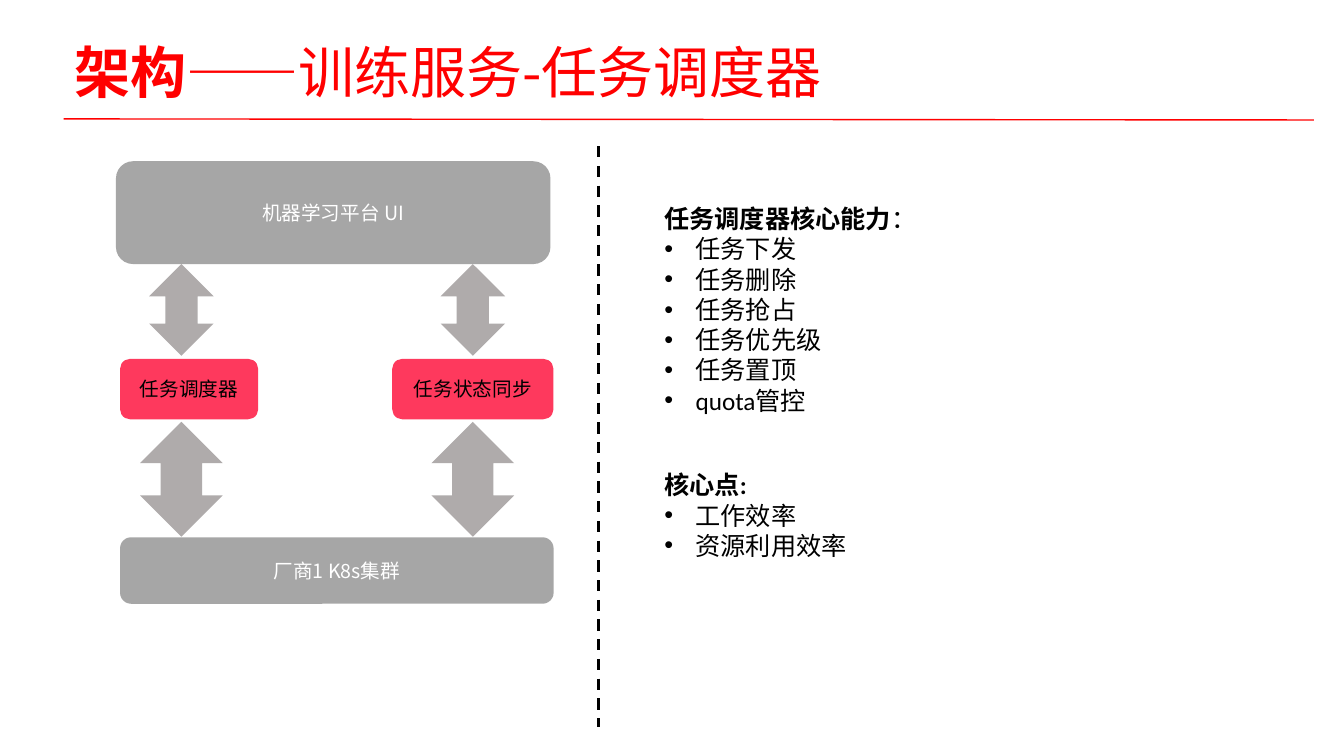
from dataclasses import dataclass

from lxml import etree
from pptx import Presentation
from pptx.dml.color import RGBColor
from pptx.enum.dml import MSO_LINE
from pptx.enum.shapes import MSO_CONNECTOR, MSO_SHAPE
from pptx.enum.text import MSO_ANCHOR, MSO_AUTO_SIZE, PP_ALIGN
from pptx.oxml.ns import qn
from pptx.util import Inches, Pt

ROUNDED = MSO_SHAPE.ROUNDED_RECTANGLE
UP_DOWN = MSO_SHAPE.UP_DOWN_ARROW
STRAIGHT = MSO_CONNECTOR.STRAIGHT
DASH = MSO_LINE.DASH
MIDDLE = MSO_ANCHOR.MIDDLE
CENTER = PP_ALIGN.CENTER
FIT_SHAPE = MSO_AUTO_SIZE.SHAPE_TO_FIT_TEXT

WIDTH, HEIGHT = Inches(13.33), Inches(7.5)
INDENT = Inches(0.31)


@dataclass(frozen=True)
class Theme:
    cjk: str = "Noto Sans CJK SC"
    latin: str = "Calibri"
    red: str = "FF0000"
    pink: str = "FE395D"
    gray: str = "A6A6A6"
    arrow: str = "AFABAB"
    black: str = "000000"
    white: str = "FFFFFF"
    title: int = 40
    body: int = 18
    label: int = 14


T = Theme()


def area(x, y, w, h):
    """Turn percentages of the slide into lengths."""
    return [int(v * side / 100) for v, side in zip((x, y, w, h), (WIDTH, HEIGHT) * 2)]


def add_run(p, text, size, color, font, bold=False):
    r = p.add_run()
    r.text = text
    r.font.size = Pt(size)
    r.font.bold = bold
    r.font.name = font
    r.font.color.rgb = RGBColor.from_string(color)
    ea = etree.SubElement(r.font._element, qn("a:ea"))
    ea.set("typeface", T.cjk)


def add_bullet(p):
    pPr = p._p.get_or_add_pPr()
    pPr.set("marL", str(INDENT))
    pPr.set("indent", str(-INDENT))
    etree.SubElement(pPr, qn("a:buFont")).set("typeface", "Arial")
    etree.SubElement(pPr, qn("a:buChar")).set("char", "•")


def add_solid(s, kind, box, fill):
    sp = s.shapes.add_shape(kind, *area(*box))
    sp.shadow.inherit = False
    sp.fill.solid()
    sp.fill.fore_color.rgb = RGBColor.from_string(fill)
    sp.line.fill.background()
    return sp


def add_block(s, text, box, fill, color):
    tf = add_solid(s, ROUNDED, box, fill).text_frame
    tf.word_wrap = True
    tf.vertical_anchor = MIDDLE
    p = tf.paragraphs[0]
    p.alignment = CENTER
    add_run(p, text, T.label, color, T.cjk)


def add_arrow(s, center, y, w, h):
    add_solid(s, UP_DOWN, (center - w / 2, y, w, h), T.arrow)


def add_line(s, ends, color, width, dash=None):
    line = s.shapes.add_connector(STRAIGHT, *area(*ends))
    line.line.color.rgb = RGBColor.from_string(color)
    line.line.width = Pt(width)
    if dash:
        line.line.dash_style = dash
    etree.SubElement(line._element.spPr, qn("a:effectLst"))


def add_title(s, strong, rest, box):
    tf = s.shapes.add_textbox(*area(*box)).text_frame
    tf.word_wrap = True
    tf.vertical_anchor = MIDDLE
    p = tf.paragraphs[0]
    p.line_spacing = 0.9
    add_run(p, strong, T.title, T.red, T.cjk, True)
    add_run(p, rest, T.title, T.red, T.cjk)


def add_list(s, heading, items, box):
    """Add a heading, given as (text, bold) runs, with bullets below it."""
    tf = s.shapes.add_textbox(*area(*box)).text_frame
    tf.word_wrap = False
    tf.auto_size = FIT_SHAPE
    for text, bold in heading:
        add_run(tf.paragraphs[0], text, T.body, T.black, T.latin, bold)
    for item in items:
        p = tf.add_paragraph()
        add_bullet(p)
        add_run(p, item, T.body, T.black, T.latin)


def main():
    prs = Presentation()
    prs.slide_width, prs.slide_height = WIDTH, HEIGHT
    s = prs.slides.add_slide(prs.slide_layouts[6])

    add_title(s, "架构", "——训练服务-任务调度器", (4.8, 3.87, 86.27, 12.13))
    add_line(s, (4.73, 15.73, 97.75, 15.87), T.red, 1)
    add_line(s, (44.56, 19.33, 44.56, 96.13), T.black, 2, DASH)

    add_block(s, "机器学习平台 UI", (8.63, 21.33, 32.33, 13.6), T.gray, T.white)
    add_block(s, "任务调度器", (8.93, 47.47, 10.28, 8), T.pink, T.black)
    add_block(s, "任务状态同步", (29.18, 47.47, 12, 8), T.pink, T.black)
    add_block(s, "厂商1 K8s集群", (8.93, 71.07, 32.26, 8.8), T.gray, T.white)
    for center in (13.5, 35.18):
        add_arrow(s, center, 34.93, 4.8, 12.13)
        add_arrow(s, center, 55.8, 6.15, 15.2)

    abilities = ("任务下发", "任务删除", "任务抢占", "任务优先级", "任务置顶", "quota管控")
    add_list(s, [("任务调度器核心能力", True), ("：", False)], abilities,
             (48.69, 26.27, 20.33, 29.6))
    add_list(s, [("核心点:", True)], ("工作效率", "资源利用效率"),
             (48.69, 61.47, 15.08, 13.47))
    prs.save("out.pptx")


if __name__ == "__main__":
    main()
